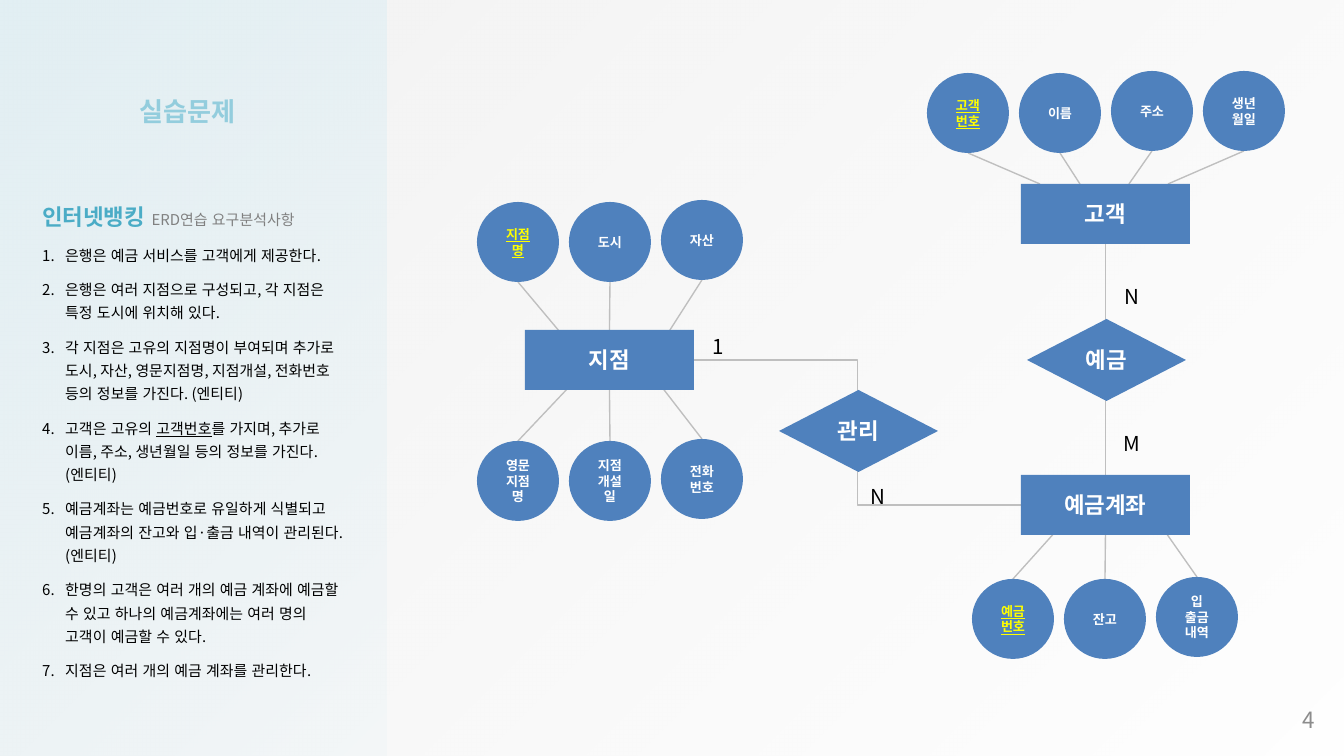
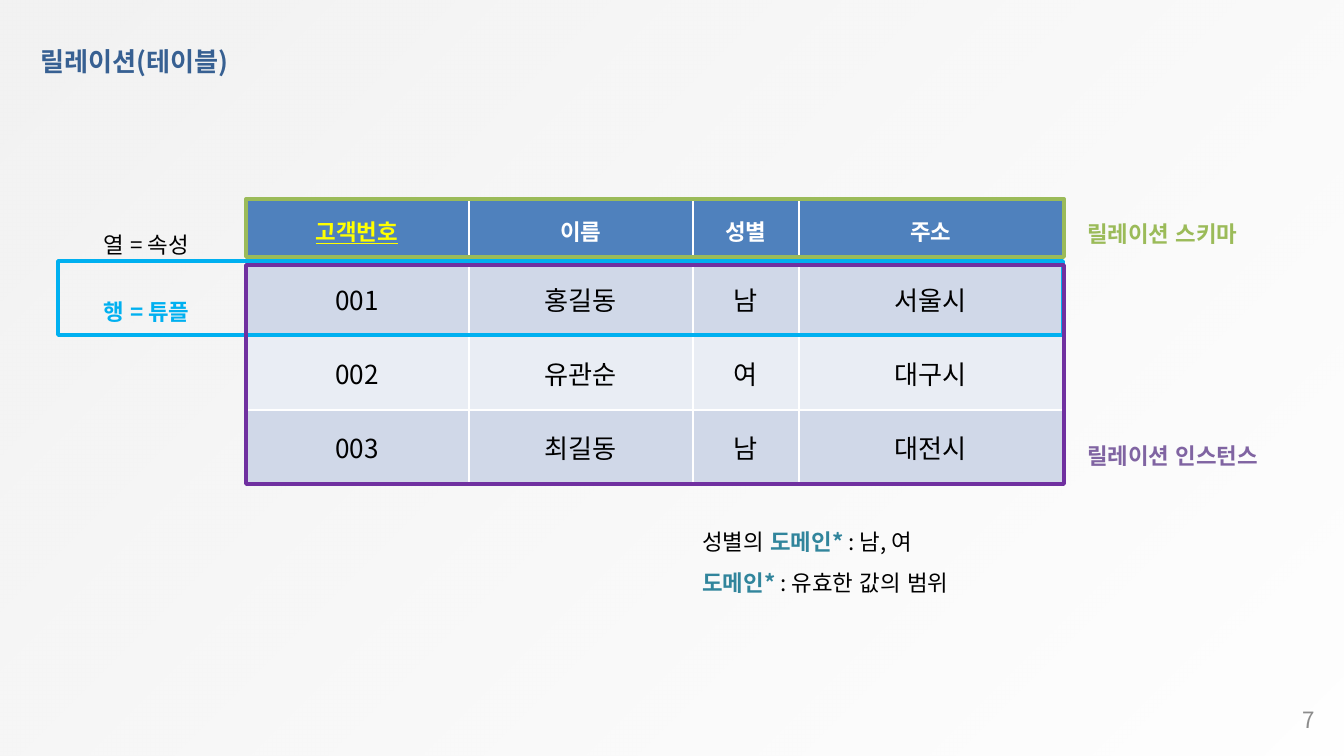
import pptx
import pptx.dml.color
import pptx.enum.lang
import pptx.enum.shapes
import pptx.enum.text
import pptx.oxml
import pptx.oxml.ns
import pptx.util

SHAPE = pptx.enum.shapes.MSO_SHAPE
CONNECTOR = pptx.enum.shapes.MSO_CONNECTOR
ALIGN = pptx.enum.text.PP_ALIGN
ANCHOR = pptx.enum.text.MSO_ANCHOR
FONT = "Noto Sans CJK KR"
EMU_PER_PX = 914400 / 134.4
SLIDE_SIZE = (1344, 756)
COLORS = {
    "white": "FFFFFF", "black": "000000", "gray": "808080", "number": "8C8C8C",
    "backdrop": "F2F2F2", "sidebar": "DBEEF4", "line": "BFBFBF", "blue": "4F81BD",
    "yellow": "FFFF00", "aqua": "4BACC6", "pale aqua": "93CDDD", "navy": "376092",
    "teal": "31859C", "sky": "00B0F0", "green": "9BBB59", "purple": "7030A0",
    "lilac": "8064A2", "odd row": "D0D8E8", "even row": "E9EDF4",
}

# Slide 1
HEADING = [("인터넷뱅킹 ", {"size": 12, "color": "aqua", "bold": True}),
           ("ERD연습 요구분석사항", {"size": 8, "color": "gray"})]
REQUIREMENTS = [
    ["은행은 예금 서비스를 고객에게 제공한다."],
    ["은행은 여러 지점으로 구성되고, 각 지점은 특정 도시에 위치해 있다."],
    ["각 지점은 고유의 지점명이 부여되며 추가로 도시, 자산, 영문지점명, 지점개설, "
     "전화번호 등의 정보를 가진다. (엔티티)"],
    ["고객은 고유의 ", "고객번호", "를 가지며, 추가로 이름, 주소, 생년월일 등의 정보를 가진다. (엔티티)"],
    ["예금계좌는 예금번호로 유일하게 식별되고 예금계좌의 잔고와 입·출금 내역이 관리된다. (엔티티)"],
    ["한명의 고객은 여러 개의 예금 계좌에 예금할 수 있고 하나의 예금계좌에는 "
     "여러 명의 고객이 예금할 수 있다."],
    ["지점은 여러 개의 예금 계좌를 관리한다."],
]
KEYS = {"지점명", "고객\n번호", "예금\n번호", "고객번호"}
ENTITIES = {"지점": (525, 330), "고객": (1021, 184), "예금계좌": (1021, 475)}
ENTITY_SIZE = (169, 60)
RELATIONSHIPS = {"예금": (1027, 319), "관리": (779, 390)}
RELATIONSHIP_SIZE = (159, 82)
ATTRIBUTE_SIZE = (82, 80)
ATTRIBUTE_PITCH = 92
# entity, left, top, attribute names, x of the line ends (None: middle), y of the line ends
ATTRIBUTE_ROWS = [
    ("지점", 477, 202, ["지점명", "도시", "자산"], [570, None, 661], 344),
    ("지점", 477, 441, ["영문\n지점명", "지점\n개설일", "전화\n번호"], [570, None, 661], 386),
    ("고객", 927, 73, ["고객\n번호", "이름", "주소", "생년월일"], [1040, 1080, 1129, 1168], 184),
    ("예금계좌", 972, 579, ["예금\n번호", "잔고", "입\n출금\n내역"], [1066, None, 1157], 520),
]
CARDINALITIES = [
    ("N", (1101, 273, 62, 22), ALIGN.CENTER), ("M", (1101, 418, 62, 27), ALIGN.CENTER),
    ("N", (857, 473, 62, 22), ALIGN.LEFT), ("1", (699, 323, 62, 22), ALIGN.LEFT),
]

# Slide 2
RELATION = [
    ["고객번호", "이름", "성별", "주소"],
    ["001", "홍길동", "남", "서울시"],
    ["002", "유관순", "여", "대구시"],
    ["003", "최길동", "남", "대전시"],
]
RELATION_AT = (245, 199)
COLUMN_WIDTHS = [224, 224, 106, 264]
ROW_HEIGHTS = [63, 74, 74, 74]
PLAIN = {"size": 12}
DOMAIN = ("도메인* ", {"size": 12, "color": "teal", "bold": True})
TERMS = [[("열 = 속성", PLAIN)],
         [("행 = 튜플", {"size": 12, "color": "sky", "bold": True})]]
DOMAIN_NOTES = [[("성별의 ", PLAIN), DOMAIN, (": 남, 여", PLAIN)],
                [DOMAIN, (": 유효한 값의 범위", PLAIN)]]
TUPLE_FRAME = ((58, 261, 1005, 74), "sky")
PART_FRAMES = [
    ((246, 199, 818, 58), "green", "릴레이션 스키마", 200, "green"),
    ((246, 265, 818, 219), "purple", "릴레이션 인스턴스", 422, "lilac"),
]


def px(length):
    return pptx.util.Emu(round(length * EMU_PER_PX))


def box(values):
    return [px(value) for value in values]


def rgb(name):
    return pptx.dml.color.RGBColor.from_string(COLORS[name])


def set_all(target, values):
    for name, value in values.items():
        setattr(target, name, value)


def add_xml(parent, tag, **attributes):
    element = pptx.oxml.parse_xml(f"<a:{tag} {pptx.oxml.ns.nsdecls('a')}/>")
    for name, value in attributes.items():
        element.set(name, str(value))
    parent.append(element)
    return element


def write_run(paragraph, text, style):
    """Add text to a paragraph, with a line break at each newline."""
    for index, line in enumerate(text.split("\n")):
        if index:
            paragraph.add_line_break()
        run = paragraph.add_run()
        run.text = line
        set_all(run.font, {
            "name": FONT, "size": pptx.util.Pt(style["size"]),
            "bold": style.get("bold", False), "underline": style.get("underline", False),
            "language_id": pptx.enum.lang.MSO_LANGUAGE_ID.KOREAN})
        run.font.color.rgb = rgb(style.get("color", "black"))
        add_xml(run.font._element, "ea", typeface=FONT)


def write(frame, paragraphs, hanging=0, numbered_from=None, **layout):
    """Fill a text frame; paragraphs are lists of (text, style) runs."""
    for index, runs in enumerate(paragraphs):
        paragraph = frame.add_paragraph() if index else frame.paragraphs[0]
        set_all(paragraph, layout)
        numbered = numbered_from is not None and index >= numbered_from
        if hanging and (numbered or numbered_from is None):
            properties = paragraph._p.get_or_add_pPr()
            properties.set("marL", str(px(hanging)))
            properties.set("indent", str(-px(hanging)))
            if numbered:
                add_xml(properties, "buAutoNum", type="arabicPeriod")
        for text, style in runs:
            write_run(paragraph, text, style)


def add_text(slide, place, paragraphs, anchor=ANCHOR.TOP, wrap=True, low=False, **layout):
    """Add a text box; low gives it no top inset and a small bottom one."""
    frame = slide.shapes.add_textbox(*box(place)).text_frame
    set_all(frame, {"word_wrap": wrap, "vertical_anchor": anchor})
    if low:
        set_all(frame, {"margin_top": 0, "margin_bottom": px(7)})
    write(frame, paragraphs, **layout)


def add_shape(slide, kind, place, fill=None, line=None):
    shape = slide.shapes.add_shape(kind, *box(place))
    shape.shadow.inherit = False
    if fill:
        shape.fill.solid()
        shape.fill.fore_color.rgb = rgb(fill)
    else:
        shape.fill.background()
    if line:
        shape.line.color.rgb = rgb(line)
        shape.line.width = pptx.util.Pt(2)
    else:
        shape.line.fill.background()
    return shape


def add_gradient(slide, place, color, opacities, clockwise_angle):
    shape = add_shape(slide, SHAPE.RECTANGLE, place)
    shape.fill.gradient()
    shape.fill.gradient_angle = 360 - clockwise_angle
    for stop, opacity in zip(shape.fill.gradient_stops, opacities):
        stop.color.rgb = rgb(color)
        add_xml(stop._element[0], "alpha", val=opacity * 1000)


def add_node(slide, kind, place, label, size):
    shape = add_shape(slide, kind, place, "blue")
    shape.text_frame.word_wrap = True
    shape.text_frame.vertical_anchor = ANCHOR.MIDDLE
    is_key = label in KEYS
    style = {"size": size, "bold": True, "underline": is_key,
             "color": "yellow" if is_key else "white"}
    write(shape.text_frame, [[(label, style)]], alignment=ALIGN.CENTER)
    return shape


def add_line(slide, behind, start=(0, 0), end=(0, 0), begin_join=None, end_join=None,
             kind=CONNECTOR.STRAIGHT):
    """Draw a connector below the shape behind; a join is (shape, side)."""
    connector = slide.shapes.add_connector(kind, *box(start + end))
    if begin_join:
        connector.begin_connect(*begin_join)
    if end_join:
        connector.end_connect(*end_join)
    connector.line.color.rgb = rgb("line")
    connector.line.width = pptx.util.Pt(0.75)
    add_xml(connector.element.spPr, "effectLst")
    behind.element.addprevious(connector.element)


def add_slide(presentation, number):
    slide = presentation.slides.add_slide(presentation.slide_layouts[6])
    add_gradient(slide, (0, 0) + SLIDE_SIZE, "backdrop", (100, 4), 45)
    add_text(slide, (1253, 700, 75, 40), [[(number, {"size": 12, "color": "number"})]],
             anchor=ANCHOR.MIDDLE, alignment=ALIGN.RIGHT)
    return slide


def add_title(slide, place, text, color, wrap=True):
    add_text(slide, place, [[(text, {"size": 14, "color": color, "bold": True})]], wrap=wrap)


def add_attributes(slide, entities, first_node, row):
    name, left, top, labels, line_ends, end_y = row
    width, height = ATTRIBUTE_SIZE
    above = top < ENTITIES[name][1]
    for index, (label, end_x) in enumerate(zip(labels, line_ends)):
        x = left + index * ATTRIBUTE_PITCH
        y = top - 2 * (index >= 2)
        add_node(slide, SHAPE.OVAL, (x, y, width, height), label, 7)
        start = (x + width // 2, y + height if above else y)
        if end_x is None:
            add_line(slide, first_node, start, start, end_join=(entities[name], 0 if above else 2))
        else:
            add_line(slide, first_node, start, (end_x, end_y))


def build_exercise(presentation):
    slide = add_slide(presentation, "4")
    add_gradient(slide, (0, 0, 386, 756), "sidebar", (15, 69), 225)
    entities = {name: add_node(slide, SHAPE.RECTANGLE, place + ENTITY_SIZE, name, 12)
                for name, place in ENTITIES.items()}
    branch, customer, account = entities.values()
    add_line(slide, branch, begin_join=(customer, 2), end_join=(account, 0))
    add_line(slide, branch, begin_join=(branch, 3), end_join=(account, 1), kind=CONNECTOR.ELBOW)
    for row in ATTRIBUTE_ROWS:
        add_attributes(slide, entities, branch, row)
    for name, place in RELATIONSHIPS.items():
        add_node(slide, SHAPE.DIAMOND, place + RELATIONSHIP_SIZE, name, 12)
    for text, place, alignment in CARDINALITIES:
        add_text(slide, place, [[(text, {"size": 11})]], anchor=ANCHOR.MIDDLE,
                 hanging=13, line_spacing=2.0, alignment=alignment)
    items = [[(text, {"size": 8, "underline": text in KEYS}) for text in item]
             for item in REQUIREMENTS]
    add_text(slide, (29, 188, 328, 504), [HEADING] + items, hanging=23, numbered_from=1,
             line_spacing=1.3, space_after=pptx.util.Pt(6))
    add_title(slide, (126, 89, 133, 46), "실습문제", "pale aqua", wrap=False)


def set_borders(cell, bottom):
    properties = cell._tc.get_or_add_tcPr()
    for index, (side, points) in enumerate(zip("LRTB", (1, 1, 1, bottom))):
        border = add_xml(properties, "ln" + side, w=pptx.util.Pt(points))
        add_xml(add_xml(border, "solidFill"), "srgbClr", val=COLORS["white"])
        properties.insert(index, border)


def add_relation(slide):
    place = RELATION_AT + (sum(COLUMN_WIDTHS), sum(ROW_HEIGHTS))
    table = slide.shapes.add_table(len(RELATION), len(RELATION[0]), *box(place)).table
    set_all(table, {"first_row": False, "horz_banding": False})
    for column, width in zip(table.columns, COLUMN_WIDTHS):
        column.width = px(width)
    for index, (row, height) in enumerate(zip(table.rows, ROW_HEIGHTS)):
        row.height = px(height)
        header = index == 0
        fill = "blue" if header else "odd row" if index % 2 else "even row"
        for cell, text in zip(row.cells, RELATION[index]):
            is_key = text in KEYS
            style = {"size": 14}
            if header:
                style = {"size": 12, "bold": True, "underline": is_key,
                         "color": "yellow" if is_key else "white"}
            cell.vertical_anchor = ANCHOR.MIDDLE
            cell.fill.solid()
            cell.fill.fore_color.rgb = rgb(fill)
            set_borders(cell, 3 if header else 1)
            write(cell.text_frame, [[(text, style)]], alignment=ALIGN.CENTER)


def build_relation(presentation):
    slide = add_slide(presentation, "7")
    add_relation(slide)
    add_title(slide, (27, 39, 254, 46), "릴레이션(테이블)", "navy")
    add_text(slide, (90, 191, 159, 191), TERMS, low=True, line_spacing=2.5)
    place, color = TUPLE_FRAME
    add_shape(slide, SHAPE.RECTANGLE, place, line=color)
    add_text(slide, (689, 515, 301, 117), DOMAIN_NOTES, low=True, line_spacing=1.5)
    for place, color, label, label_top, label_color in PART_FRAMES:
        add_shape(slide, SHAPE.RECTANGLE, place, line=color)
        style = {"size": 12, "color": label_color, "bold": True}
        add_text(slide, (1074, label_top, 214, 60), [[(label, style)]],
                 anchor=ANCHOR.MIDDLE, low=True, line_spacing=1.5)


def main():
    presentation = pptx.Presentation()
    presentation.slide_width, presentation.slide_height = box(SLIDE_SIZE)
    build_exercise(presentation)
    build_relation(presentation)
    presentation.save("out.pptx")


if __name__ == "__main__":
    main()
